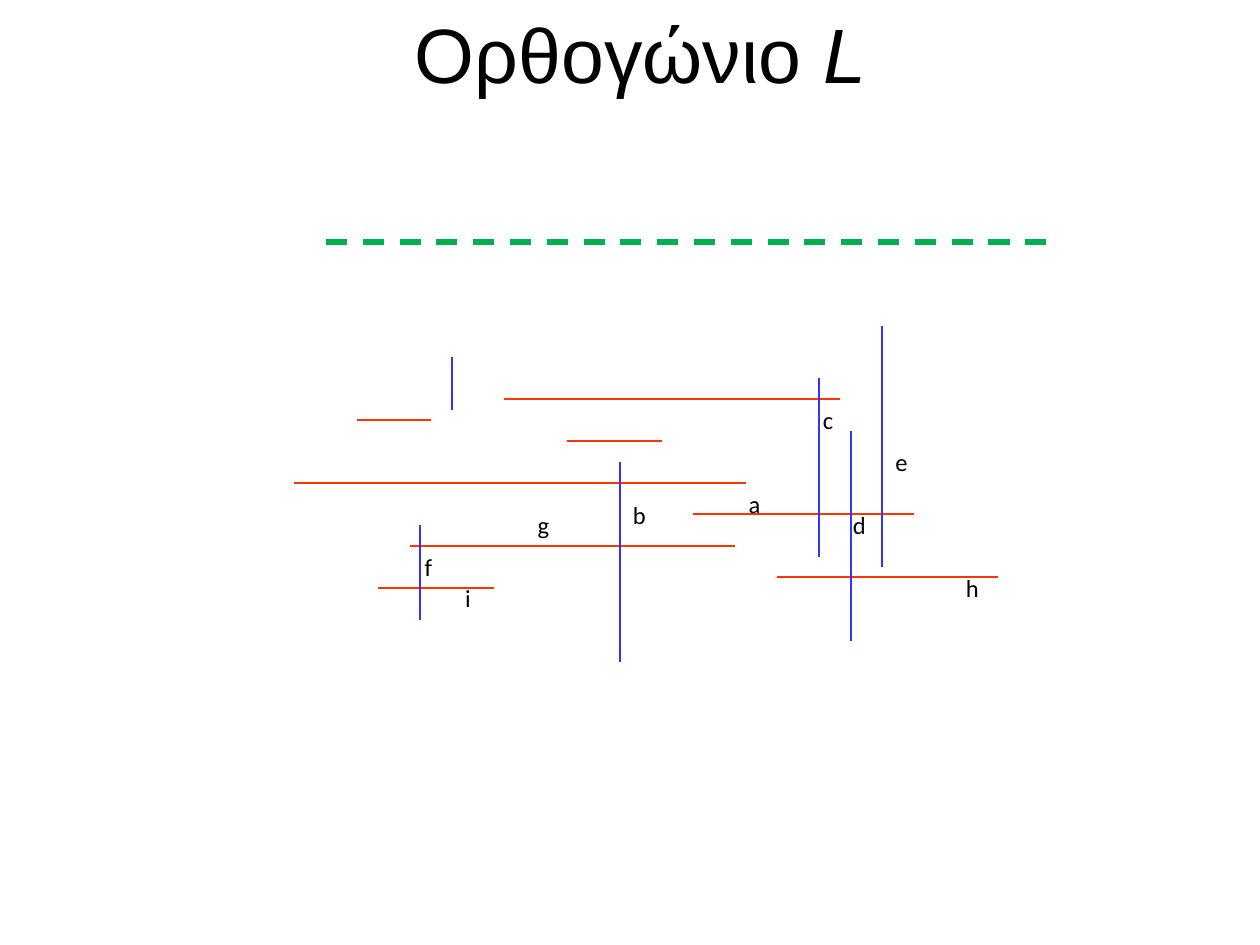
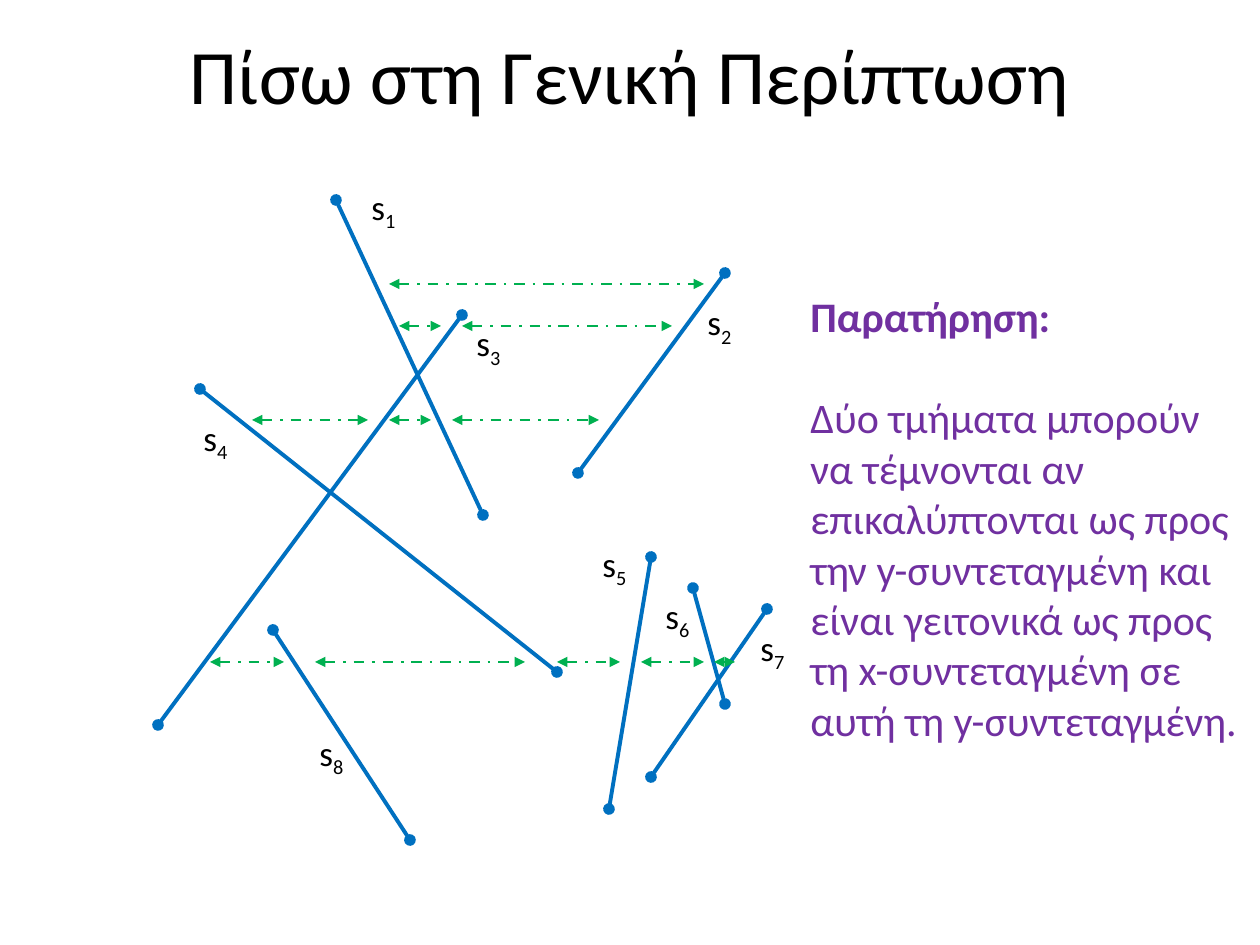
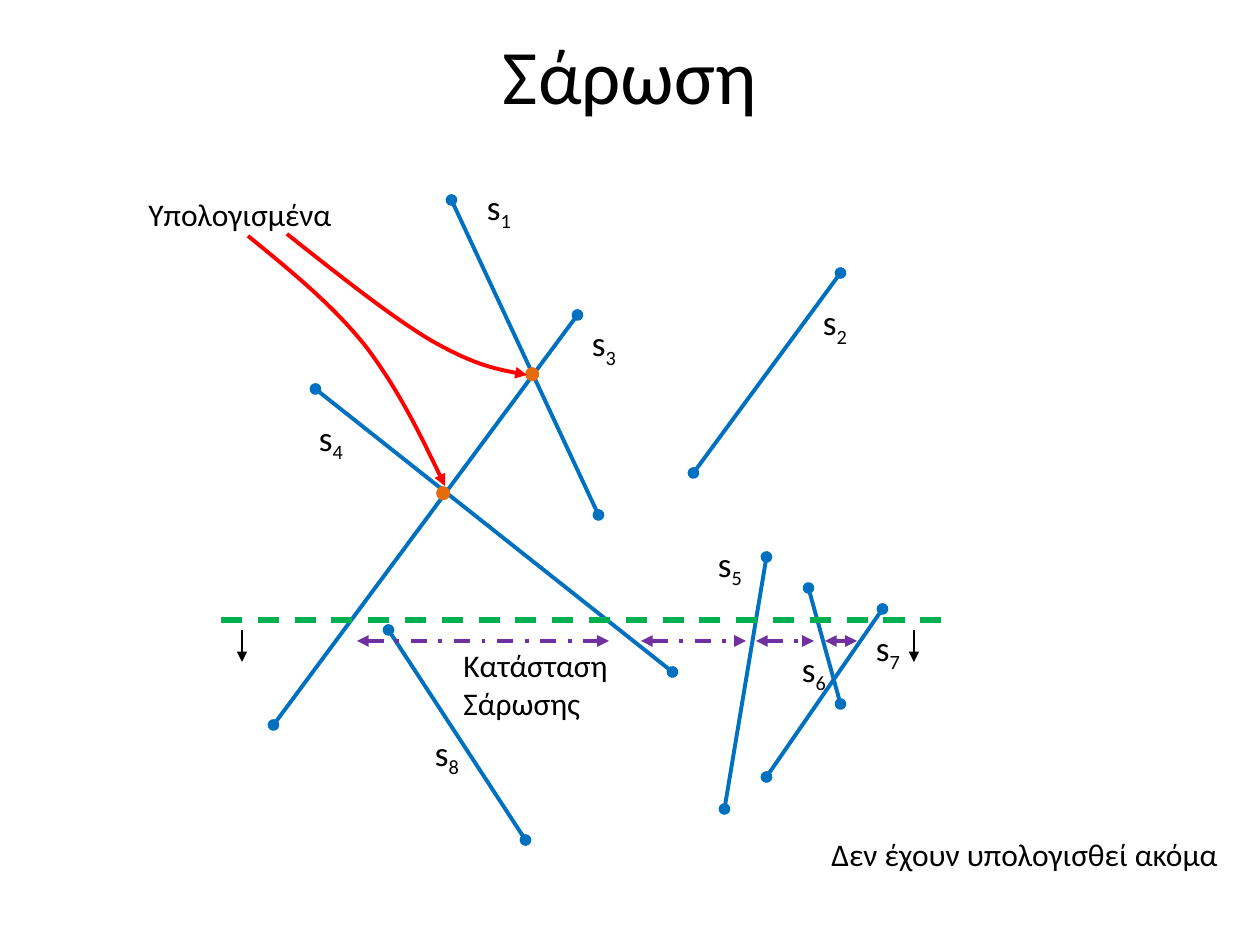
from pptx import Presentation
from pptx.dml.color import RGBColor
from pptx.enum.dml import MSO_LINE
from pptx.enum.shapes import MSO_CONNECTOR, MSO_SHAPE
from pptx.enum.text import MSO_ANCHOR, MSO_AUTO_SIZE, PP_ALIGN
from pptx.oxml.ns import qn
from pptx.util import Emu, Pt
from lxml.etree import SubElement

SCALE = 914400 // 126
BLACK, RED, ORANGE = "000000", "FF0000", "E46C0A"
GREEN, BLUE, PURPLE = "00B050", "0070C0", "7030A0"
HORIZONTAL, VERTICAL = "FF3300", "3333FF"

WIDE_TITLE = (63, 0, 1134, 147)
RECTILINEAR_TITLE = (105, 0, 1071, 105)

HORIZONTALS = [
    (399, 504, 840), (441, 567, 662), (546, 410, 735), (514, 693, 914),
    (483, 294, 746), (420, 357, 431), (588, 378, 494), (577, 777, 998),
]
VERTICALS = [
    (620, 462, 662), (452, 357, 410), (420, 525, 620),
    (819, 378, 557), (882, 326, 567), (851, 431, 641),
]
RECTILINEAR_LABELS = [
    ("b", 620, 494, 39), ("a", 735, 483, 39), ("c", 809, 399, 38),
    ("d", 840, 504, 39), ("e", 882, 441, 39), ("f", 412, 546, 33),
    ("g", 525, 504, 37), ("h", 953, 567, 39), ("i", 452, 577, 32),
]

SEGMENTS = [
    (336, 200, 483, 515), (200, 389, 557, 672), (462, 315, 158, 725),
    (725, 273, 578, 473), (273, 630, 410, 840), (651, 557, 609, 809),
    (693, 588, 725, 704), (767, 609, 651, 777),
]
SEGMENT_LABELS = {
    1: (357, 179), 2: (693, 294), 3: (462, 315), 4: (189, 410),
    5: (588, 536), 6: (651, 588), 7: (746, 620), 8: (305, 725),
}
NEIGHBOUR_GAPS = {
    284: [(389, 704)],
    326: [(399, 441), (462, 672)],
    420: [(252, 368), (389, 431), (452, 599)],
    662: [(210, 284), (315, 525), (557, 620), (641, 704), (714, 735)],
}
NOTE_HEADING = "Παρατήρηση:"
NOTE_BODY = ("Δύο τμήματα μπορούν να τέμνονται αν επικαλύπτονται ως προς την "
             "y-συντεταγμένη και είναι γειτονικά ως προς τη x-συντεταγμένη σε "
             "αυτή τη y-συντεταγμένη.")

SWEEP_SHIFT = 115.5
SWEEP_STATE = {641: [(357, 609), (641, 746), (756, 814), (825, 857)]}
CROSSINGS = [(438, 488), (527, 369)]
CURVES = [
    [(287, 234), (340, 276), (393, 318), (432, 341), (473, 364), (499, 370), (527, 375)],
    [(248, 236), (291, 271), (334, 306), (367, 348), (399, 391), (422, 438), (445, 486)],
]
SWEEP_ARROWS = [242, 914]
SWEEP_TEXTS = [
    ("Υπολογισμένα", (136, 189, 213, 50), False),
    ("Δεν έχουν υπολογισθεί ακόμα", (819, 829, 417, 50), False),
    ("Κατάσταση Σάρωσης", (451, 640, 199, 89), True),
]


def px(value):
    return Emu(round(value * SCALE))


def rgb(value):
    return RGBColor.from_string(value)


def add_text(slide, paragraphs, box, size=18, font="Calibri", color=BLACK,
             align=PP_ALIGN.LEFT, wrap=True, grow=True, space_after=0):
    shape = slide.shapes.add_textbox(*map(px, box))
    frame = shape.text_frame
    frame.word_wrap = wrap
    if grow:
        frame.auto_size = MSO_AUTO_SIZE.SHAPE_TO_FIT_TEXT
    else:
        frame.vertical_anchor = MSO_ANCHOR.MIDDLE
    for index, runs in enumerate(paragraphs):
        paragraph = frame.add_paragraph() if index else frame.paragraphs[0]
        paragraph.alignment = align
        if index < len(paragraphs) - 1:
            paragraph.space_after = Pt(space_after)
        for text, style in runs:
            run = paragraph.add_run()
            run.text = text
            run.font.size, run.font.name = Pt(size), font
            run.font.color.rgb = rgb(color)
            run.font.bold = style == "bold"
            run.font.italic = style == "italic"
            if style == "subscript":
                run.font._element.set("baseline", "-25000")


def add_title(slide, runs, box, font="Calibri"):
    add_text(slide, [runs], box, size=44, font=font, align=PP_ALIGN.CENTER, grow=False)


def style_line(shape, color, width, dash=None, head=None, tail=None):
    shape.line.color.rgb = rgb(color)
    shape.line.width = Pt(width)
    if dash:
        shape.line.dash_style = dash
    outline = shape.line._get_or_add_ln()
    for tag, kind in (("a:headEnd", head), ("a:tailEnd", tail)):
        if kind:
            SubElement(outline, qn(tag), type=kind)


def add_line(slide, x1, y1, x2, y2, color, width, **ends):
    connector = slide.shapes.add_connector(MSO_CONNECTOR.STRAIGHT, *map(px, (x1, y1, x2, y2)))
    style_line(connector, color, width, **ends)
    SubElement(connector._element.spPr, qn("a:effectLst"))


def add_gaps(slide, rows, color, width):
    for y, gaps in rows.items():
        for left, right in gaps:
            add_line(slide, left, y, right, y, color, width,
                     dash=MSO_LINE.DASH_DOT, head="triangle", tail="triangle")


def add_segments(slide, labels, shift=0):
    for x1, y1, x2, y2 in SEGMENTS:
        add_line(slide, x1 + shift, y1, x2 + shift, y2, BLUE, 2.25, head="oval", tail="oval")
    for number, (x, y) in labels.items():
        add_text(slide, [[("s", None), (str(number), "subscript")]],
                 (x + shift, y, 53, 55), size=20, align=PP_ALIGN.CENTER)


def add_sweep_line(slide, left, y):
    add_line(slide, left, y, left + 724, y, GREEN, 3, dash=MSO_LINE.DASH)


def add_curve(slide, points):
    builder = slide.shapes.build_freeform(*points[0], scale=SCALE)
    builder.add_line_segments(points[1:], close=False)
    shape = builder.convert_to_shape()
    shape.shadow.inherit = False
    shape.fill.background()
    style_line(shape, RED, 2.25, tail="triangle")
    outline = next(shape._element.iter(qn("a:path")))
    steps = outline.findall(qn("a:lnTo"))
    for start in range(0, len(steps), 3):
        bezier = SubElement(outline, qn("a:cubicBezTo"))
        for step in steps[start:start + 3]:
            bezier.append(step[0])
            outline.remove(step)


def add_crossing(slide, x, y):
    dot = slide.shapes.add_shape(MSO_SHAPE.OVAL, px(x), px(y), px(10.5), px(10.5))
    dot.shadow.inherit = False
    dot.fill.solid()
    dot.fill.fore_color.rgb = rgb(ORANGE)
    style_line(dot, ORANGE, 2)


def build_rectilinear(slide):
    add_title(slide, [("Ορθογώνιο ", None), ("L", "italic")], RECTILINEAR_TITLE, font="Arial")
    for y, left, right in HORIZONTALS:
        add_line(slide, left, y, right, y, HORIZONTAL, 1.5)
    for x, top, bottom in VERTICALS:
        add_line(slide, x, top, x, bottom, VERTICAL, 1.5)
    for letter, x, y, width in RECTILINEAR_LABELS:
        add_text(slide, [[(letter, None)]], (x, y, width, 42), size=14,
                 align=PP_ALIGN.CENTER, wrap=letter == "c")
    add_sweep_line(slide, 326, 242)


def build_general_case(slide):
    add_title(slide, [("Πίσω στη Γενική Περίπτωση", None)], WIDE_TITLE)
    add_segments(slide, SEGMENT_LABELS)
    add_text(slide, [[(NOTE_HEADING, "bold")], [(NOTE_BODY, None)]],
             (798, 284, 462, 471), size=24, color=PURPLE, space_after=29.3)
    add_gaps(slide, NEIGHBOUR_GAPS, GREEN, 1.5)


def build_sweep(slide):
    add_title(slide, [("Σάρωση", None)], WIDE_TITLE)
    add_segments(slide, {**SEGMENT_LABELS, 6: (672, 641)}, SWEEP_SHIFT)
    for x, y in CROSSINGS:
        add_crossing(slide, x, y)
    add_sweep_line(slide, 221, 620)
    for points in CURVES:
        add_curve(slide, points)
    for x in SWEEP_ARROWS:
        add_line(slide, x, 630, x, 662, BLACK, 1.5, tail="triangle")
    add_gaps(slide, SWEEP_STATE, PURPLE, 2.25)
    for text, box, wrap in SWEEP_TEXTS:
        add_text(slide, [[(text, None)]], box, wrap=wrap)


presentation = Presentation()
presentation.slide_width, presentation.slide_height = px(1260), px(945)
for build in (build_rectilinear, build_general_case, build_sweep):
    build(presentation.slides.add_slide(presentation.slide_layouts[6]))
presentation.save("out.pptx")
